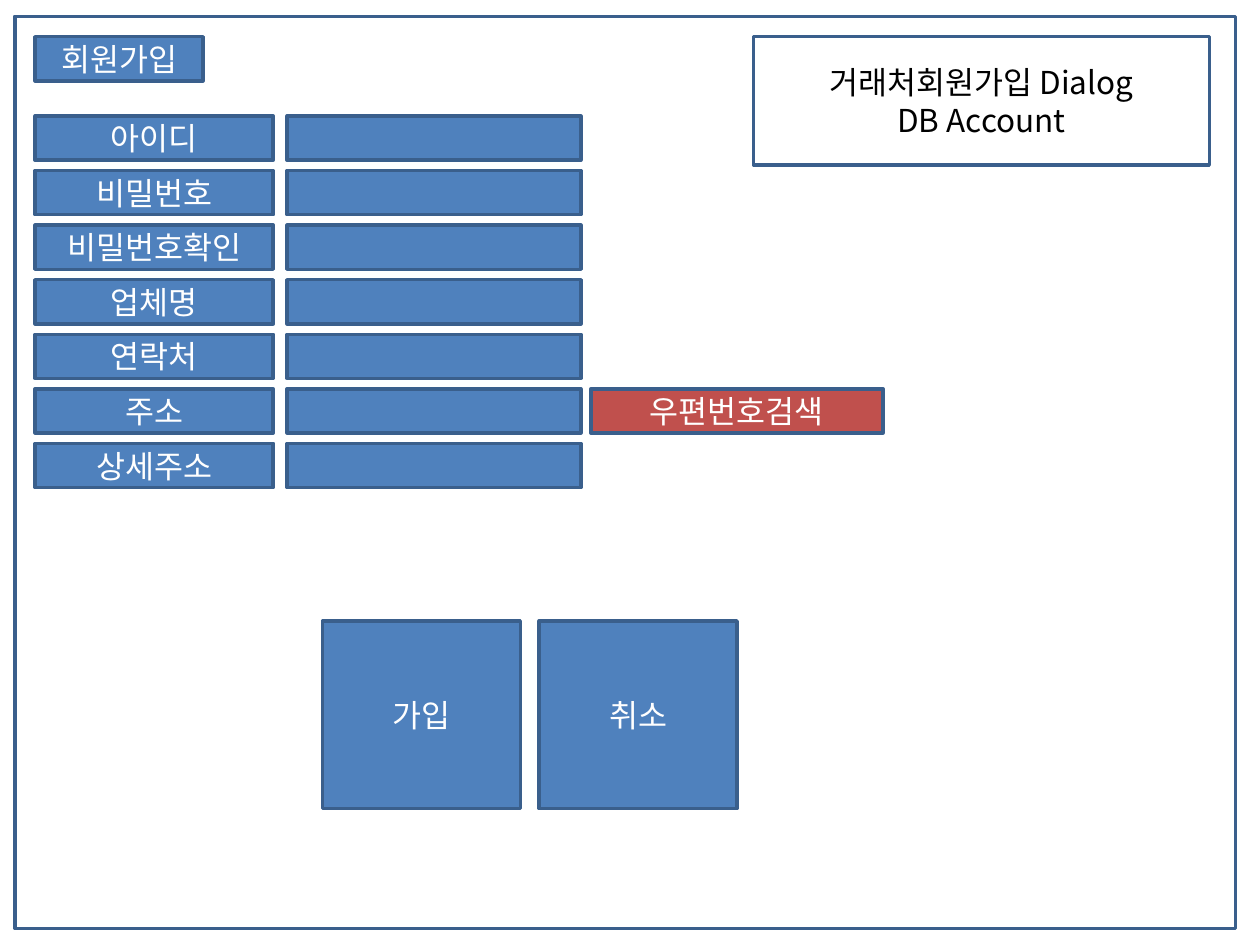
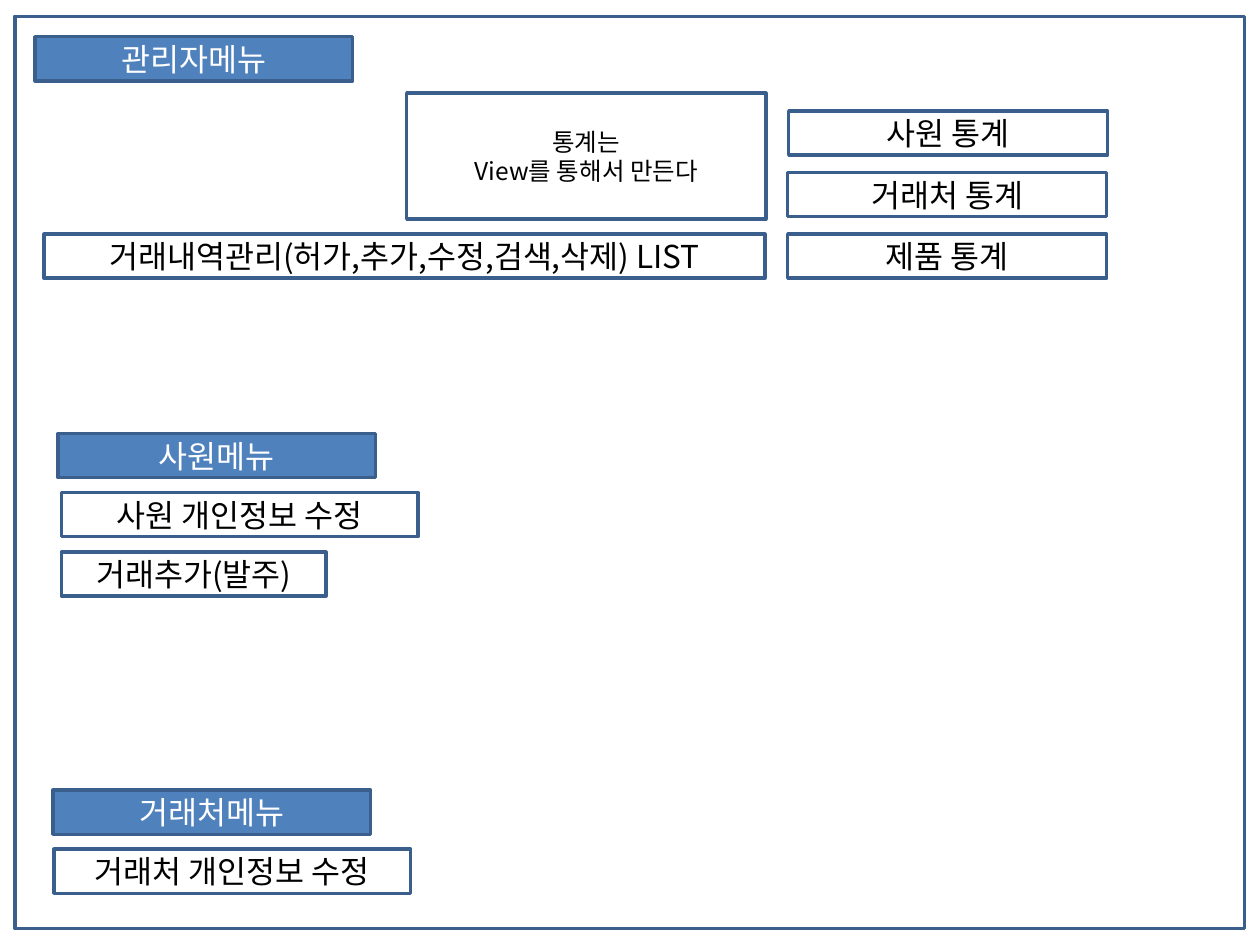
from lxml.etree import SubElement
from pptx import Presentation
from pptx.dml.color import RGBColor
from pptx.enum.shapes import MSO_SHAPE
from pptx.enum.text import MSO_ANCHOR, PP_ALIGN
from pptx.oxml.ns import qn
from pptx.util import Cm, Pt

FONT = "Noto Sans CJK KR"
BLUE, RED, BORDER = "4F81BD", "C0504D", "3A5F8C"
WHITE, BLACK = "FFFFFF", "000000"
MARGIN, TOP, BAR = 0.71, 0.74, 0.89


def color(hex_string):
    return RGBColor.from_string(hex_string)


def add_box(slide, left, top, width, height, text="", fill=None, size=18):
    box = slide.shapes.add_shape(MSO_SHAPE.RECTANGLE, Cm(left), Cm(top), Cm(width), Cm(height))
    box.shadow.inherit = False
    box.line.color.rgb = color(BORDER)
    box.line.width = Pt(2)
    if fill:
        box.fill.solid()
        box.fill.fore_color.rgb = color(fill)
    else:
        box.fill.background()
    if not text:
        return
    frame = box.text_frame
    frame.word_wrap = True
    frame.vertical_anchor = MSO_ANCHOR.MIDDLE
    frame.text = text
    for paragraph in frame.paragraphs:
        paragraph.alignment = PP_ALIGN.CENTER
        paragraph.font.size = Pt(size)
        paragraph.font.color.rgb = color(WHITE if fill else BLACK)
        paragraph.font.name = FONT
        defaults = paragraph._p.pPr.find(qn("a:defRPr"))
        SubElement(defaults, qn("a:ea")).set("typeface", FONT)


deck = Presentation()
deck.slide_width, deck.slide_height = Cm(25.4), Cm(19.05)
blank = deck.slide_layouts[6]

signup = deck.slides.add_slide(blank)
add_box(signup, 0.3, 0.33, 24.61, 18.39)
add_box(signup, 15.19, TOP, 9.19, 2.59, "거래처회원가입 Dialog\nDB Account")
add_box(signup, MARGIN, TOP, 3.38, BAR, "회원가입", BLUE)

fields = ["아이디", "비밀번호", "비밀번호확인", "업체명", "연락처", "주소", "상세주소"]
for row, field in enumerate(fields):
    field_top = 2.34 + 1.1 * row
    add_box(signup, MARGIN, field_top, 4.8, BAR, field, BLUE)
    add_box(signup, 5.79, field_top, 5.92, BAR, fill=BLUE)
    if field == "주소":
        add_box(signup, 11.91, field_top, 5.89, BAR, "우편번호검색", RED)

for column, action in enumerate(["가입", "취소"]):
    add_box(signup, 6.5 + 4.37 * column, 12.52, 3.99, 3.78, action, BLUE)

menus = deck.slides.add_slide(blank)
add_box(menus, 0.3, 0.33, 24.79, 18.39)

for left, top, menu in [
    (MARGIN, TOP, "관리자메뉴"),
    (1.17, 8.74, "사원메뉴"),
    (1.07, 15.93, "거래처메뉴"),
]:
    add_box(menus, left, top, 6.4, BAR, menu, BLUE)

for left, top, width, task in [
    (0.89, 4.72, 14.53, "거래내역관리(허가,추가,수정,검색,삭제) LIST"),
    (1.24, 9.93, 7.19, "사원 개인정보 수정"),
    (1.24, 11.13, 5.33, "거래추가(발주)"),
    (1.09, 17.12, 7.19, "거래처 개인정보 수정"),
]:
    add_box(menus, left, top, width, BAR, task)

for row, (left, subject) in enumerate([(15.9, "사원"), (15.88, "거래처"), (15.88, "제품")]):
    add_box(menus, left, 2.24 + 1.24 * row, 6.43, BAR, f"{subject} 통계")

add_box(menus, 8.2, 1.88, 7.24, 2.54, "통계는\nView를 통해서 만든다", size=14)

deck.save("out.pptx")
